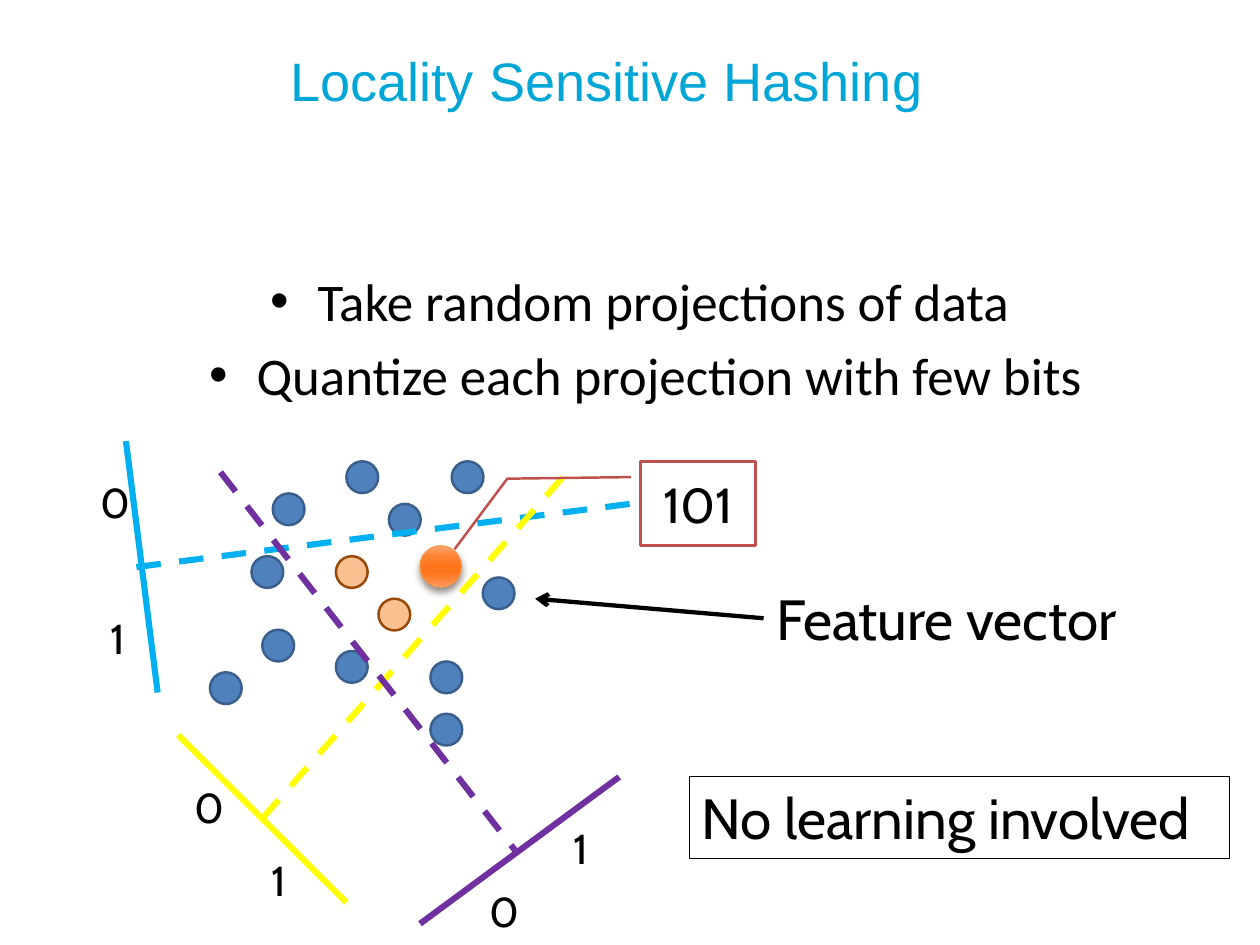
from dataclasses import dataclass

from lxml.etree import SubElement
from pptx import Presentation
from pptx.dml.color import RGBColor
from pptx.enum.dml import MSO_LINE
from pptx.enum.shapes import MSO_CONNECTOR, MSO_SHAPE
from pptx.enum.text import MSO_ANCHOR, PP_ALIGN
from pptx.oxml.ns import qn
from pptx.util import Cm, Pt

# Content: positions in cm
TITLE = "Locality Sensitive Hashing"
BULLETS = ["Take random projections of data ", "Quantize each projection with few bits"]
HASH_CODE = "101"
FEATURE = "Feature vector"
REMARK = "No learning involved"

DOTS = [(7.52, 18.06), (7.82, 14.15), (9.93, 13.23), (7.21, 15.95), (9.63, 18.67), (11.15, 14.45),
        (6.02, 19.28), (13.84, 16.56), (12.34, 20.47), (12.34, 18.97), (12.95, 13.23)]
NEIGHBOURS = [(9.63, 15.95), (10.85, 17.17)]
QUERY = (12.04, 15.65)
DOT_SIZE, QUERY_SIZE = 0.91, 1.19

# colour, dashed split line, projection axis, corner of each bit label
PROJECTIONS = [
    ("00B0F0", (3.91, 16.26, 18.06, 14.45), (4.52, 19.86, 3.61, 12.65),
     {"0": (2.64, 13.54), "1": (2.92, 17.45)}),
    ("FFFF00", (7.52, 23.47, 16.26, 13.54), (5.11, 21.08, 9.93, 25.88),
     {"0": (5.33, 22.28), "1": (7.54, 24.38)}),
    ("7030A0", (6.32, 13.54, 14.76, 24.38), (12.04, 26.49, 17.75, 22.28),
     {"0": (13.77, 25.27), "1": (16.18, 23.47)}),
]
CALLOUT_POINTS = [0.188, -0.083, 0.207, -1.157, 1.047, -1.615]
QUERY_STOPS = [(0, "FFA573"), (25, "FF8434"), (50, "FF751C"),
               (65, "FF751C"), (80, "FF8332"), (100, "FF9C66")]


@dataclass
class Theme:
    title: str = "00A6D6"
    ink: str = "000000"
    paper: str = "FFFFFF"
    dot: str = "4F81BD"
    dot_line: str = "3A5F8C"
    near: str = "FAC090"
    near_line: str = "984807"
    query_line: str = "F79646"
    query_shadow: str = "4E3B30"
    callout: str = "C0504D"
    title_size: int = 44
    bullet_size: int = 43
    bit_size: int = 34
    code_size: int = 40
    note_size: int = 46
    title_font: str = "Arial"
    body_font: str = "Calibri"
    note_font: str = "Cabin"


T = Theme()
rgb = RGBColor.from_string


def set_line(line, color, width):
    line.color.rgb = rgb(color)
    line.width = Pt(width)


def write(tf, lines, font, size, color=T.ink, align=PP_ALIGN.LEFT, inset=(0.36, 0.18)):
    tf.word_wrap = True
    tf.margin_left = tf.margin_right = Cm(inset[0])
    tf.margin_top = tf.margin_bottom = Cm(inset[1])
    for i, line in enumerate(lines):
        p = tf.paragraphs[0] if i == 0 else tf.add_paragraph()
        p.text = line
        p.alignment = align
        p.font.name, p.font.size = font, Pt(size)
        p.font.color.rgb = rgb(color)


def add_text(s, box, lines, font, size, **style):
    sp = s.shapes.add_textbox(*map(Cm, box))
    write(sp.text_frame, lines, font, size, **style)
    return sp


def add_preset(s, kind, box, fill, line, width=2):
    sp = s.shapes.add_shape(kind, *map(Cm, box))
    sp.shadow.inherit = False
    sp.fill.solid()
    sp.fill.fore_color.rgb = rgb(fill)
    set_line(sp.line, line, width)
    return sp


def add_dots(s, corners, fill, line):
    for x, y in corners:
        add_preset(s, MSO_SHAPE.OVAL, (x, y, DOT_SIZE, DOT_SIZE), fill, line)


def add_line(s, ends, color, width, dashed=False):
    cx = s.shapes.add_connector(MSO_CONNECTOR.STRAIGHT, *map(Cm, ends))
    set_line(cx.line, color, width)
    if dashed:
        cx.line.dash_style = MSO_LINE.DASH
    SubElement(cx._element.spPr, qn("a:effectLst"))
    return cx


def add_query(s):
    sp = add_preset(s, MSO_SHAPE.OVAL, (*QUERY, QUERY_SIZE, QUERY_SIZE),
                    T.paper, T.query_line, 0.79)
    sp.fill.gradient()
    sp.fill.gradient_angle = 270
    spPr = sp._element.spPr
    stops = spPr.find(qn("a:gradFill")).find(qn("a:gsLst"))
    for gs in list(stops):
        stops.remove(gs)
    for pos, color in QUERY_STOPS:
        gs = SubElement(stops, qn("a:gs"), pos=str(pos * 1000))
        SubElement(gs, qn("a:srgbClr"), val=color)
    shadow = SubElement(spPr.find(qn("a:effectLst")), qn("a:outerShdw"), blurRad=str(Pt(6)),
                        dist=str(Pt(4)), dir="5400000", rotWithShape="0")
    clr = SubElement(shadow, qn("a:srgbClr"), val=T.query_shadow)
    SubElement(clr, qn("a:alpha"), val="60000")


def main():
    prs = Presentation()
    prs.slide_width, prs.slide_height = Cm(36.12), Cm(27.1)
    s = prs.slides.add_slide(prs.slide_layouts[6])

    # Title
    add_text(s, (8.33, 1.35, 27.79, 4.19), [TITLE], T.title_font, T.title_size,
             color=T.title, inset=(0, 0))

    # Data points
    add_dots(s, DOTS, T.dot, T.dot_line)
    add_query(s)

    # Bullets
    sp = add_text(s, (1.5, 7.52, 34.01, 4.37), BULLETS, T.body_font, T.bullet_size,
                  align=PP_ALIGN.CENTER)
    for p in sp.text_frame.paragraphs:
        p.space_before = Pt(0.2 * T.bullet_size)
        pPr = p._p.get_or_add_pPr()
        pPr.set("marL", str(Cm(1.35)))
        pPr.set("indent", str(-Cm(1.35)))
        bullet_font = pPr.makeelement(qn("a:buFont"), {"typeface": "Arial"})
        bullet = pPr.makeelement(qn("a:buChar"), {"char": "•"})
        pPr.find(qn("a:spcBef")).addnext(bullet_font)
        bullet_font.addnext(bullet)

    # Projections with their bits
    for color, split, axis, bits in PROJECTIONS:
        add_line(s, split, color, 5, dashed=True)
        add_line(s, axis, color, 5)
        for bit, corner in bits.items():
            add_text(s, (*corner, 1.17, 1.7), [bit], T.note_font, T.bit_size,
                     inset=(0.25, 0.13))

    # Hash code of the query
    sp = add_preset(s, MSO_SHAPE.LINE_CALLOUT_2, (18.36, 13.23, 3.3, 2.41), T.paper, T.callout)
    for i, value in enumerate(CALLOUT_POINTS):
        sp.adjustments[i] = value
    write(sp.text_frame, [HASH_CODE], T.note_font, T.code_size, align=PP_ALIGN.CENTER)
    sp.text_frame.vertical_anchor = MSO_ANCHOR.MIDDLE

    # Remark
    sp = add_text(s, (19.76, 22.28, 15.49, 2.34), [REMARK], T.note_font, T.note_size)
    set_line(sp.line, T.ink, 0.75)

    # Neighbours and feature vector
    add_dots(s, NEIGHBOURS, T.near, T.near_line)
    arrow = add_line(s, (21.89, 17.73, 15.34, 17.17), T.ink, 3.5)
    SubElement(arrow.line._get_or_add_ln(), qn("a:tailEnd"), type="arrow")
    add_text(s, (21.89, 16.56, 11.2, 2.34), [FEATURE], T.note_font, T.note_size)

    prs.save("out.pptx")


if __name__ == "__main__":
    main()
